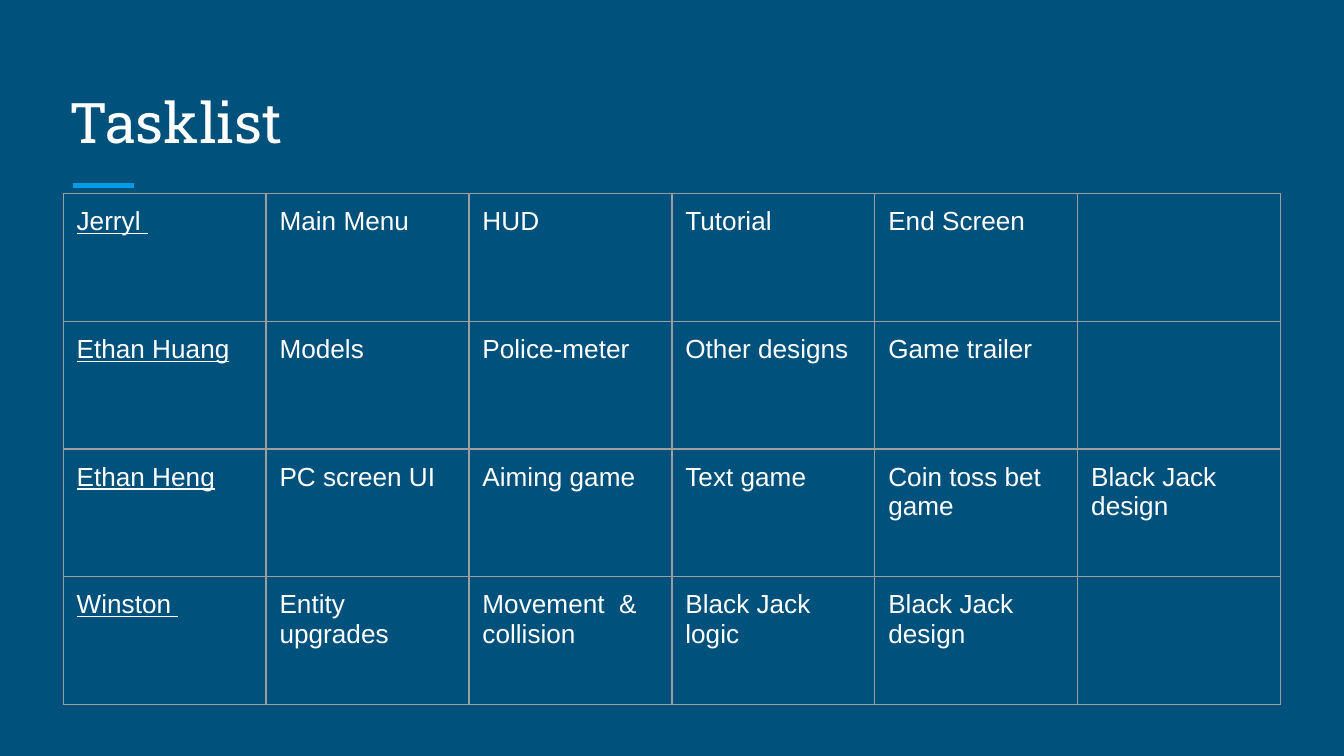
from dataclasses import dataclass

from lxml import etree
from pptx import Presentation
from pptx import util as u
from pptx.dml.color import RGBColor
from pptx.enum import shapes, text
from pptx.oxml.ns import qn


@dataclass(frozen=True)
class Theme:
    background: str = "00517C"
    accent: str = "039BE5"
    ink: str = "FFFFFF"
    grid: str = "9E9E9E"
    heading_font: str = "Roboto Slab"
    body_font: str = "Arial"
    heading_size: float = 30
    body_size: float = 14
    accent_width: float = 3
    grid_width: float = 0.75
    inset: float = 0.1


class SlideBuilder:
    def __init__(self, slide, theme):
        self.slide = slide
        self.theme = theme
        fill = slide.background.fill
        fill.solid()
        fill.fore_color.rgb = RGBColor.from_string(theme.background)

    def add_run(self, paragraph, words, font, size, underline=False):
        run = paragraph.add_run()
        run.text = words
        run.font.name = font
        run.font.size = u.Pt(size)
        run.font.bold = False
        run.font.underline = underline
        run.font.color.rgb = RGBColor.from_string(self.theme.ink)

    def set_insets(self, holder):
        for side in ("left", "top", "right", "bottom"):
            setattr(holder, f"margin_{side}", u.Inches(self.theme.inset))

    def add_heading(self, words, left, top, width, height):
        heading = self.slide.shapes.add_textbox(
            u.Inches(left), u.Inches(top), u.Inches(width), u.Inches(height))
        frame = heading.text_frame
        frame.word_wrap = True
        frame.vertical_anchor = text.MSO_ANCHOR.BOTTOM
        self.set_insets(frame)
        self.add_run(frame.paragraphs[0], words,
                     self.theme.heading_font, self.theme.heading_size)

    def add_accent_line(self, left, right, y):
        accent = self.slide.shapes.add_connector(
            shapes.MSO_CONNECTOR.STRAIGHT,
            u.Inches(left), u.Inches(y), u.Inches(right), u.Inches(y))
        accent.line.color.rgb = RGBColor.from_string(self.theme.accent)
        accent.line.width = u.Pt(self.theme.accent_width)
        etree.SubElement(accent._element.spPr, qn("a:effectLst"))

    def add_borders(self, cell):
        properties = cell._tc.get_or_add_tcPr()
        for position, side in enumerate(("lnL", "lnR", "lnT", "lnB")):
            border = etree.Element(
                qn(f"a:{side}"), w=str(u.Pt(self.theme.grid_width)))
            fill = etree.SubElement(border, qn("a:solidFill"))
            etree.SubElement(fill, qn("a:srgbClr"), val=self.theme.grid)
            properties.insert(position, border)

    def add_task_table(self, tasks, left, top, column_width, row_height):
        columns = 1 + max(len(items) for items in tasks.values())
        table = self.slide.shapes.add_table(
            len(tasks), columns, u.Inches(left), u.Inches(top),
            u.Inches(column_width * columns),
            u.Inches(row_height * len(tasks))).table
        table.first_row = False
        table.horz_banding = False
        for column in table.columns:
            column.width = u.Inches(column_width)
        for row, (member, items) in zip(table.rows, tasks.items()):
            row.height = u.Inches(row_height)
            for cell in row.cells:
                self.set_insets(cell)
                cell.fill.background()
                self.add_borders(cell)
            for index, (cell, words) in enumerate(zip(row.cells, [member, *items])):
                self.add_run(cell.text_frame.paragraphs[0], words,
                             self.theme.body_font, self.theme.body_size,
                             underline=index == 0)


TASKS = {
    "Jerryl ": ["Main Menu", "HUD", "Tutorial", "End Screen"],
    "Ethan Huang": ["Models", "Police-meter", "Other designs", "Game trailer"],
    "Ethan Heng": ["PC screen UI", "Aiming game", "Text game",
                   "Coin toss bet game", "Black Jack design"],
    "Winston ": ["Entity upgrades", "Movement  & collision",
                 "Black Jack logic", "Black Jack design"],
}


def main():
    deck = Presentation()
    deck.slide_width = u.Inches(10)
    deck.slide_height = deck.slide_width * 9 // 16
    builder = SlideBuilder(deck.slides.add_slide(deck.slide_layouts[6]), Theme())
    builder.add_accent_line(0.54, 1, 1.38)
    builder.add_heading("Tasklist", 0.42, 0.5, 9.15, 0.75)
    builder.add_task_table(TASKS, 0.47, 1.44, column_width=1.51, row_height=0.95)
    deck.save("out.pptx")


if __name__ == "__main__":
    main()
